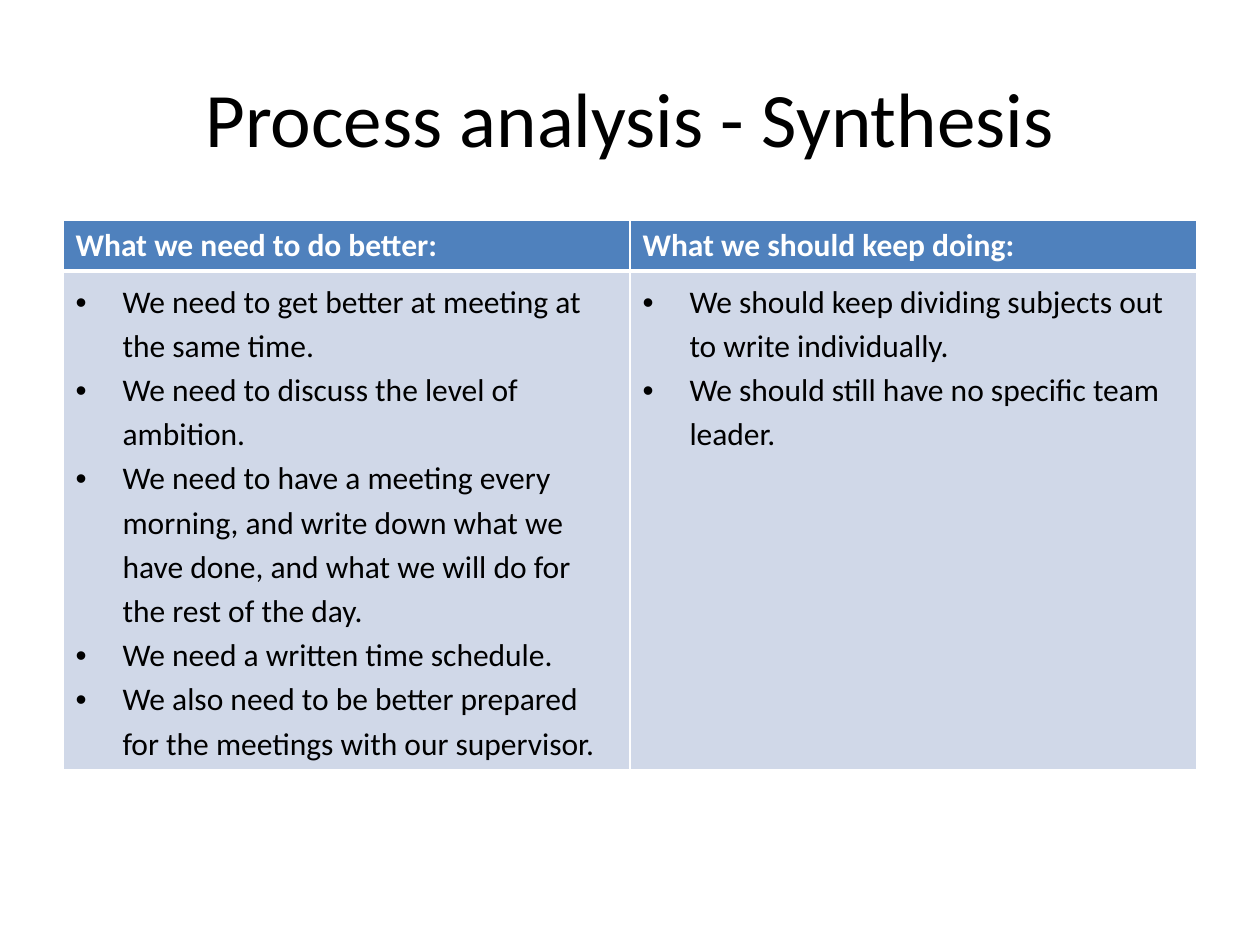
from lxml.etree import SubElement
from pptx import Presentation
from pptx.dml.color import RGBColor
from pptx.enum.text import MSO_ANCHOR, PP_ALIGN
from pptx.oxml import parse_xml
from pptx.oxml.ns import nsdecls, qn
from pptx.util import Pt

# Content
TITLE = "Process analysis - Synthesis"
COLUMNS = [
    ("What we need to do better:", [
        "We need to get better at meeting at the same time.",
        "We need to discuss the level of ambition.",
        "We need to have a meeting every morning, and write down what we have done, "
        "and what we will do for the rest of the day.",
        "We need a written time schedule.",
        "We also need to be better prepared for the meetings with our supervisor.",
    ]),
    ("What we should keep doing:", [
        "We should keep dividing subjects out to write individually.",
        "We should still have no specific team leader.",
    ]),
]

# Theme and layout, lengths in pixels
THEME = {
    "title": {"name": "Calibri", "size": Pt(44), "bold": False, "color": "000000"},
    "header": {"name": "Calibri", "size": Pt(18), "bold": True, "color": "FFFFFF"},
    "body": {"name": "Calibri", "size": Pt(18), "bold": False, "color": "000000"},
    "header_fill": "4F81BD",
    "body_fill": "D0D8E8",
    "border": "FFFFFF",
}
SCALE = 914400 // 126
SLIDE_SIZE = (1260, 945)
TITLE_BOX = (63, 38, 1134, 157)
TABLE_LEFT, TABLE_TOP, TABLE_WIDTH = 63, 220, 1134
ROW_HEIGHTS = (51, 499)
BULLET_INDENT = 47
THIN, THICK = Pt(1), Pt(3)


def px(value):
    return value * SCALE


def write(paragraph, text, style):
    run = paragraph.add_run()
    run.text = text
    for name, value in THEME[style].items():
        if name == "color":
            run.font.color.rgb = RGBColor.from_string(value)
        else:
            setattr(run.font, name, value)


def add_bullet(paragraph):
    properties = paragraph._p.get_or_add_pPr()
    properties.set("marL", str(px(BULLET_INDENT)))
    properties.set("indent", str(-px(BULLET_INDENT)))
    SubElement(properties, qn("a:buFont"), typeface="Arial")
    SubElement(properties, qn("a:buChar"), char="•")


def format_cell(cell, fill, top, bottom):
    cell.fill.solid()
    cell.fill.fore_color.rgb = RGBColor.from_string(fill)
    borders = {"lnL": THIN, "lnR": THIN, "lnT": top, "lnB": bottom}
    for index, (side, width) in enumerate(borders.items()):
        cell._tc.get_or_add_tcPr().insert(index, parse_xml(
            f'<a:{side} {nsdecls("a")} w="{width}"><a:solidFill>'
            f'<a:srgbClr val="{THEME["border"]}"/></a:solidFill></a:{side}>'))


presentation = Presentation()
presentation.slide_width, presentation.slide_height = map(px, SLIDE_SIZE)
slide = presentation.slides.add_slide(presentation.slide_layouts[6])

# Title
title_frame = slide.shapes.add_textbox(*map(px, TITLE_BOX)).text_frame
title_frame.word_wrap = True
title_frame.vertical_anchor = MSO_ANCHOR.MIDDLE
title_frame.paragraphs[0].alignment = PP_ALIGN.CENTER
write(title_frame.paragraphs[0], TITLE, "title")

# Table
table = slide.shapes.add_table(
    len(ROW_HEIGHTS), len(COLUMNS), px(TABLE_LEFT), px(TABLE_TOP),
    px(TABLE_WIDTH), px(sum(ROW_HEIGHTS))).table
for row, height in zip(table.rows, ROW_HEIGHTS):
    row.height = px(height)

for column, (heading, points) in enumerate(COLUMNS):
    table.columns[column].width = px(TABLE_WIDTH // len(COLUMNS))
    header, body = table.cell(0, column), table.cell(1, column)
    format_cell(header, THEME["header_fill"], THIN, THICK)
    format_cell(body, THEME["body_fill"], THICK, THIN)
    write(header.text_frame.paragraphs[0], heading, "header")

    # Bulleted points
    frame = body.text_frame
    for index, point in enumerate(points):
        paragraph = frame.add_paragraph() if index else frame.paragraphs[0]
        paragraph.line_spacing = 1.15
        add_bullet(paragraph)
        write(paragraph, point, "body")

presentation.save("out.pptx")
